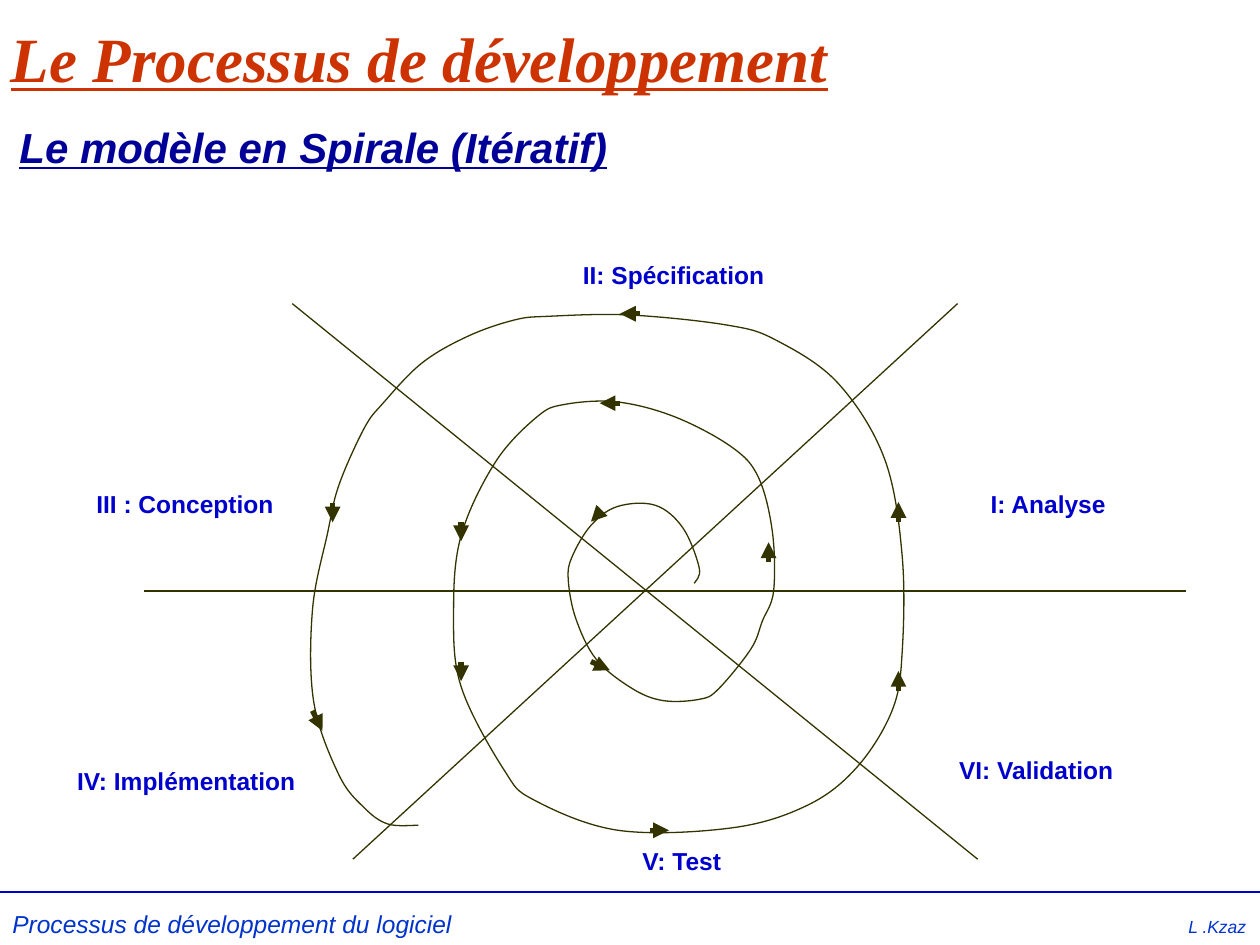
from lxml.etree import SubElement
from pptx import Presentation
from pptx.dml.color import RGBColor
from pptx.enum.shapes import MSO_CONNECTOR
from pptx.enum.text import MSO_ANCHOR, PP_ALIGN
from pptx.oxml.ns import qn
from pptx.util import Pt

INK = {"title": "CC3300", "head": "000099", "label": "0000CC",
       "foot": "0033CC", "line": "333300", "paper": "FFFFFF"}

# Points the spiral runs through, in hundredths of an inch.
INNER = [(551, 463), (555, 451), (542, 419), (520, 401), (490, 402),
         (469, 417), (454, 442), (451, 460), (457, 491), (473, 523),
         (501, 546), (526, 556), (555, 555), (570, 547), (596, 515),
         (605, 493), (614, 469)]
MIDDLE = [(613, 422), (602, 379), (581, 355), (536, 331), (490, 319),
          (448, 321), (426, 331), (393, 367), (366, 425), (360, 485),
          (366, 545), (400, 611), (424, 635), (491, 659), (581, 657),
          (641, 639), (680, 609), (708, 564), (716, 518)]
OUTER = [(716, 441), (702, 364), (665, 304), (616, 270), (577, 258),
         (500, 250), (436, 251), (408, 254), (371, 267), (335, 288),
         (304, 320), (289, 340), (269, 385), (260, 423), (248, 484),
         (249, 557), (269, 615), (289, 641), (308, 654), (332, 655)]

# Arrows by direction: the step to the tip, then the starting points.
ARROWS = [
    ((-11.5, 0), [(354.2, 230.4), (365.8, 179.3)]),
    ((0, 11.2), [(263.5, 298.1), (263.5, 378), (190.1, 287.3)]),
    ((0, -11.2), [(439.2, 321.1), (513.4, 394.6), (513.4, 298.1)]),
    ((10.8, 0), [(371.5, 474.5)]),
    ((-5.7, 5.8), [(343.4, 292.3)]),
    ((10.8, 5), [(337.7, 378)]),
    ((5.7, 11.5), [(178.6, 406.1)]),
]
AXES = [(547.2, 173.5, 201.6, 491), (167, 173.5, 558.7, 491),
        (82.1, 337.7, 677.5, 337.7)]
PHASES = [
    ("I: Analyse", 559, 276, 119), ("II: Spécification", 326, 145, 130),
    ("III : Conception", 48, 276, 119), ("IV: Implémentation", 37, 434, 144),
    ("V: Test", 360, 480, 64), ("VI: Validation", 541, 428, 130),
]


def bend(knots):
    """Return three cubic points for each gap between the knots."""
    ends = [knots[0], *knots, knots[-1]]
    out = []
    for a, b, c, d in zip(ends, ends[1:], ends[2:], ends[3:]):
        out.append(tuple(q + (r - p) / 6 for p, q, r in zip(a, b, c)))
        out.append(tuple(r - (s - q) / 6 for q, r, s in zip(b, c, d)))
        out.append(c)
    return out


class Board:
    """Holds the style and the current slide; lengths are in points."""

    def __init__(self, slide):
        self.slide = slide
        self.shapes = slide.shapes

    def color(self, name):
        return RGBColor.from_string(INK[name])

    def style(self, para, size, ink, face="Arial", bold=False,
              slant=False, under=False):
        font = para.font
        font.size, font.name = Pt(size), face
        font.bold, font.italic, font.underline = bold, slant, under
        font.color.rgb = self.color(ink)

    def title(self, text, x, y, w, h):
        box = self.shapes.title
        box.left, box.top, box.width, box.height = map(Pt, (x, y, w, h))
        frame = box.text_frame
        frame.text = text
        frame.vertical_anchor = MSO_ANCHOR.BOTTOM
        para = frame.paragraphs[0]
        para.alignment = PP_ALIGN.LEFT
        self.style(para, 36, "title", "Times New Roman", True, True, True)

    def text(self, text, x, y, w, h, size, ink, **look):
        box = self.shapes.add_textbox(*map(Pt, (x, y, w, h)))
        frame = box.text_frame
        frame.word_wrap = True
        para = frame.paragraphs[0]
        para.text = text
        self.style(para, size, ink, **look)
        return para

    def footer(self, left, right, y):
        """Set one line with its second part at a right tab."""
        para = self.text("", 0, y, 720, 24, 14, "foot", slant=True)
        props = para._p.get_or_add_pPr()
        tabs = SubElement(props, qn("a:tabLst"))
        SubElement(tabs, qn("a:tab"), pos=str(Pt(705)), algn="r")
        props.insert(0, tabs)
        para.add_run().text = left + "\t"
        end = para.add_run()
        end.text = right
        end.font.size = Pt(10)

    def line(self, ends, ink, width=0.75, arrow=False):
        line = self.shapes.add_connector(MSO_CONNECTOR.STRAIGHT, *map(Pt, ends))
        line.line.color.rgb = self.color(ink)
        line.line.width = Pt(width)
        props = line._element.spPr
        if arrow:
            SubElement(props.find(qn("a:ln")), qn("a:tailEnd"), type="triangle")
        SubElement(props, qn("a:effectLst"))

    def curve(self, knots, unit, ink):
        """Draw a smooth open curve through the knots."""
        fine = [(x * 10, y * 10) for x, y in knots]
        pen = self.shapes.build_freeform(*fine[0], scale=unit / 10)
        pen.add_line_segments(bend(fine), close=False)
        shape = pen.convert_to_shape()
        steps = list(shape._element.iter(qn("a:lnTo")))
        for trio in zip(steps[::3], steps[1::3], steps[2::3]):
            cubic = SubElement(trio[0].getparent(), qn("a:cubicBezTo"))
            for step in trio:
                cubic.append(step[0])
                step.getparent().remove(step)
        shape.fill.solid()
        shape.fill.fore_color.rgb = self.color("paper")
        shape.line.color.rgb = self.color(ink)
        shape.line.width = Pt(0.75)
        shape.shadow.inherit = False


def main():
    deck = Presentation()
    deck.slide_width, deck.slide_height = Pt(720), Pt(540)
    board = Board(deck.slides.add_slide(deck.slide_layouts[5]))
    board.line((0, 509.8, 720, 509.8), "label", 1)
    board.title("Le Processus de développement", -1, 13, 519, 45)
    for name, x, y, w in PHASES:
        board.text(name, x, y, w, 24, 14, "label", bold=True)
    board.curve(INNER + MIDDLE + OUTER, Pt(0.72), "line")
    for (dx, dy), starts in ARROWS:
        for x, y in starts:
            board.line((x, y, x + dx, y + dy), "line", 3, arrow=True)
    for ends in AXES:
        board.line(ends, "line")
    board.footer("Processus de développement du logiciel", "L .Kzaz", 516)
    board.text("Le modèle en Spirale (Itératif)", 4, 66, 398, 42, 24, "head",
               bold=True, slant=True, under=True)
    deck.save("out.pptx")


if __name__ == "__main__":
    main()
